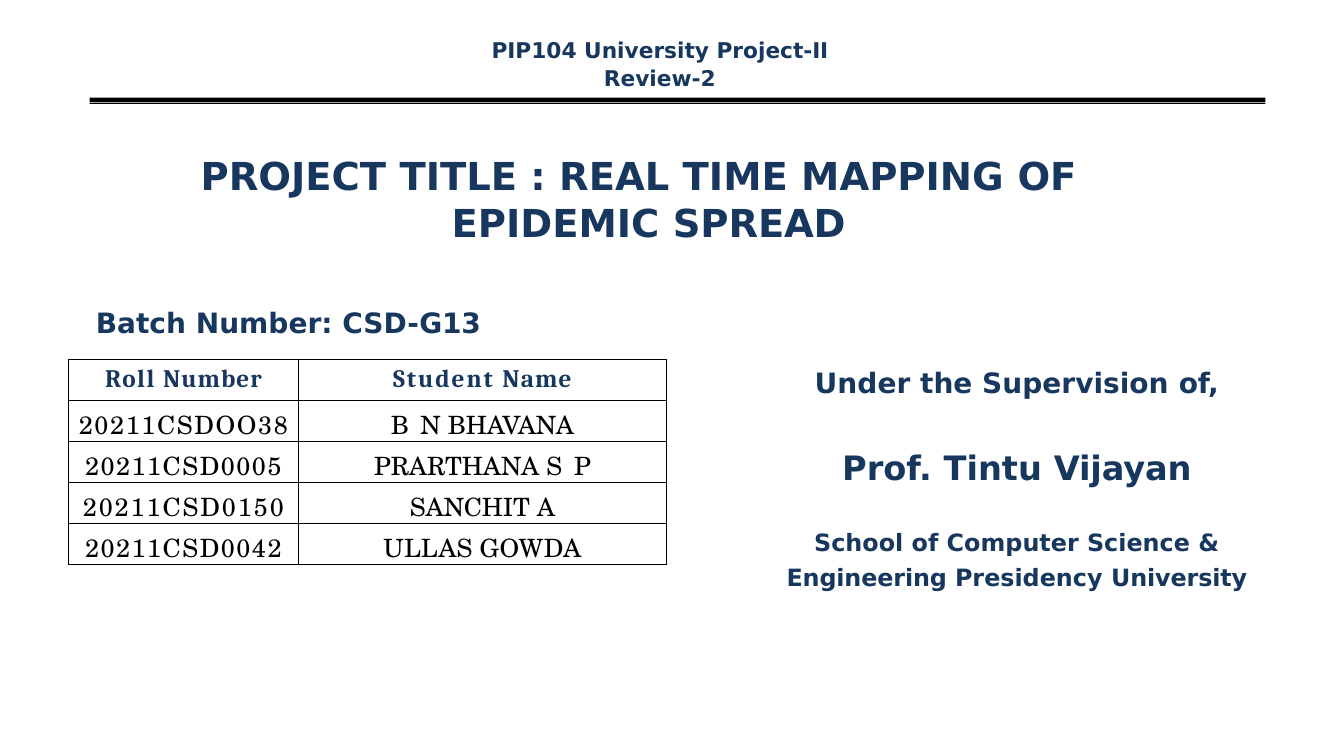
"""Build the project review title slide."""
import pptx
import pptx.util
import pptx.dml.color
import pptx.enum.text
import lxml.etree

Inches, Pt = pptx.util.Inches, pptx.util.Pt
CENTER = pptx.enum.text.PP_ALIGN.CENTER
COLORS = {"navy": "17375E", "black": "000000", "white": "FFFFFF"}
HEADING, HEAD_FONT, BODY_FONT = "DejaVu Sans", "Cambria", "TeX Gyre Schola"
W, H = 13.33, 7.5

# Each line holds its runs (text, letter spacing), size, space before, line spacing.
TITLE = [([("PROJECT TITLE : REAL TIME MAPPING ", 0), ("OF ", -0.2),
           ("EPIDEMIC ", 0), ("SPREAD", -0.1)], 27.5, 0.5, 1.02)]
BATCH = [([("Batch Number: CSD-", 0), ("G13", -0.2)], 20, 1.2, 1)]
SUPERVISION = [
    ([("Under the Supervision ", 0), ("of,", -0.2)], 20, 1.2, 1),
    ([("Prof. Tintu ", 0), ("Vijayan", -0.1)], 24, 34.1, 1),
    ([("School of Computer Science & ", 0), ("Engineering ", -0.1),
      ("Presidency ", 0), ("University", -0.1)], 17, 24.1, 1.22),
]
COURSE = [
    ([("PIP104 University Project-", 0), ("II", -0.2)], 15.5, 1.2, 1),
    ([("Review-", 0), ("2", -0.5)], 15.5, 0.9, 1),
]
STUDENTS = [
    ([("Roll ", 1.1), ("Number", 0.7)], [("Student ", 1.4), ("Name", 0.8)]),
    ([("20211CSDOO38", 1.2)], [("B ", 1.5), ("N ", 0), ("BHAVANA", -0.1)]),
    ([("20211CSD0005", 1.1)], [("PRARTHANA ", 0), ("S ", 1.7), ("P", -0.5)]),
    ([("20211CSD0150", 1.4)], [("SANCHIT ", 0), ("A", -0.5)]),
    ([("20211CSD0042", 1.1)], [("ULLAS ", 0), ("GOWDA", 0.4)]),
]
TABLE_AT, COLS, ROW = (0.68, 3.57), (2.28, 3.65), 0.406
BOXES = [
    (TITLE, (1.98, 1.49, 9.1, 0.96), None, (2.5, -2.49)),
    (BATCH, (0.95, 3.01, 3.85, 0.37), None, None),
    (SUPERVISION, (7.25, 3.61, 5.67, 2.28), CENTER, None),
    (COURSE, (4.73, 0.35, 3.63, 0.56), CENTER, None),
]
RULE_LEFT, RULE_RIGHT = 89, 1255
RULE_BARS = [(97, 101), (102, 103)]


def rgb(name):
    return pptx.dml.color.RGBColor.from_string(COLORS[name])


def write(p, runs, size, before, font, color="navy", bold=True):
    p.space_before = Pt(before)
    for text, spacing in runs:
        r = p.add_run()
        r.text = text
        r.font.size, r.font.name, r.font.bold = Pt(size), font, bold
        r.font.color.rgb = rgb(color)
        if spacing:
            r._r.get_or_add_rPr().set("spc", str(round(spacing * 100)))


def add_text(s, lines, at, align, indent):
    tf = s.shapes.add_textbox(*map(Inches, at)).text_frame
    tf.word_wrap = True
    tf.margin_left = tf.margin_right = tf.margin_bottom = 0
    tf.margin_top = Inches(0.01 if indent else 0.02)
    for i, (runs, size, before, spacing) in enumerate(lines):
        p = tf.add_paragraph() if i else tf.paragraphs[0]
        p.alignment, p.line_spacing = align, spacing
        if indent:
            pPr = p._p.get_or_add_pPr()
            pPr.set("marL", str(Inches(indent[0])))
            pPr.set("indent", str(Inches(indent[1])))
        write(p, runs, size, before, HEADING)


def add_borders(cell):
    ns = "http://schemas.openxmlformats.org/drawingml/2006/main"
    tcPr = cell._tc.get_or_add_tcPr()
    for i, side in enumerate(("lnL", "lnR", "lnT", "lnB")):
        ln = lxml.etree.Element(f"{{{ns}}}{side}", w=str(Pt(1)))
        fill = lxml.etree.SubElement(ln, f"{{{ns}}}solidFill")
        lxml.etree.SubElement(fill, f"{{{ns}}}srgbClr", val=COLORS["black"])
        tcPr.insert(i, ln)


def add_students(s):
    size = sum(COLS), ROW * len(STUDENTS)
    table = s.shapes.add_table(len(STUDENTS), len(COLS),
                               *map(Inches, TABLE_AT + size)).table
    table.first_row = table.horz_banding = False
    for col, width in zip(table.columns, COLS):
        col.width = Inches(width)
    for i, student in enumerate(STUDENTS):
        table.rows[i].height = Inches(ROW)
        for j, runs in enumerate(student):
            cell = table.cell(i, j)
            cell.margin_left = cell.margin_right = cell.margin_bottom = 0
            cell.margin_top = Inches(0.05)
            cell.fill.solid()
            cell.fill.fore_color.rgb = rgb("white")
            add_borders(cell)
            p = cell.text_frame.paragraphs[0]
            p.alignment = CENTER
            style = (BODY_FONT, "black", False) if i else (HEAD_FONT, "navy", True)
            write(p, runs, 18, 3.5, *style)


def add_rule(s):
    fb = s.shapes.build_freeform(RULE_LEFT, RULE_BARS[0][0], scale=Inches(0.01))
    for i, (top, bottom) in enumerate(RULE_BARS):
        if i:
            fb.move_to(RULE_LEFT, top)
        fb.add_line_segments([(RULE_RIGHT, top), (RULE_RIGHT, bottom),
                              (RULE_LEFT, bottom)], close=True)
    sp = fb.convert_to_shape()
    sp.shadow.inherit = False
    sp.fill.solid()
    sp.fill.fore_color.rgb = rgb("black")
    sp.line.fill.background()


def main():
    prs = pptx.Presentation()
    prs.slide_width, prs.slide_height = Inches(W), Inches(H)
    s = prs.slides.add_slide(prs.slide_layouts[6])
    add_rule(s)
    for box in BOXES:
        add_text(s, *box)
    add_students(s)
    prs.save("out.pptx")


if __name__ == "__main__":
    main()
